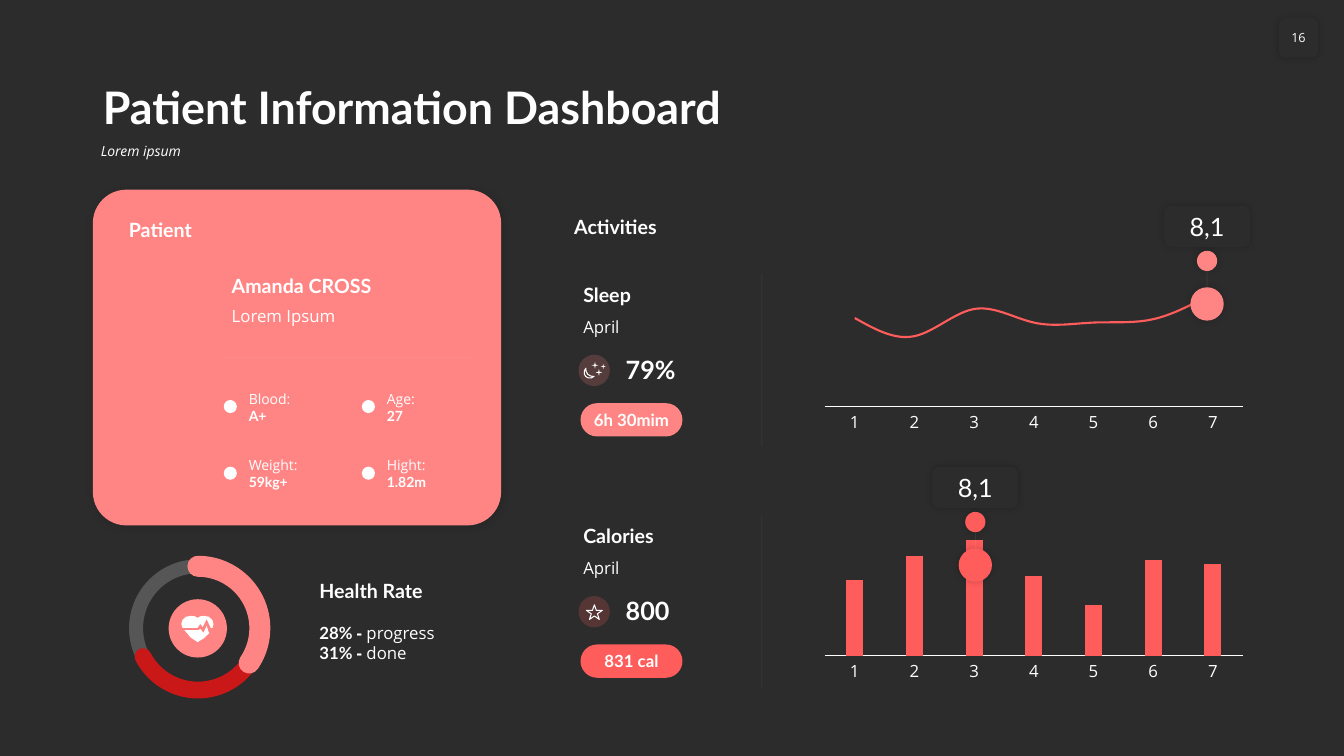
"""Build a dark patient dashboard slide."""
import dataclasses

import pptx
import pptx.chart.data
import pptx.dml.color
import pptx.enum.chart
import pptx.enum.shapes
import pptx.enum.text
import pptx.oxml
import pptx.oxml.ns
import pptx.util

Cm, Pt = pptx.util.Cm, pptx.util.Pt
KIND = pptx.enum.shapes.MSO_SHAPE
ALIGN = pptx.enum.text.PP_ALIGN
ANCHOR = pptx.enum.text.MSO_ANCHOR
CHART = pptx.enum.chart.XL_CHART_TYPE


@dataclasses.dataclass(frozen=True)
class Theme:
    dark: str = "2C2C2C"
    white: str = "FFFFFF"
    black: str = "000000"
    rose: str = "FF8585"
    coral: str = "FF5C5C"
    red: str = "CA1818"
    head: str = "Lato"
    body: str = "Open Sans"
    title: int = 32
    large: int = 18
    label: int = 14
    text: int = 12
    small: int = 10
    page: int = 9


T = Theme()


def rgb(code):
    return pptx.dml.color.RGBColor.from_string(code)


def apply(item, values):
    for name, value in values.items():
        setattr(item, name, value)


def font(size, name=T.body, bold=False, italic=False):
    return dict(size=Pt(size), name=name, bold=bold, italic=italic)


def bold(size):
    return font(size, T.head, True)


def node(tag, **attrs):
    item = pptx.oxml.parse_xml(f"<a:{tag} {pptx.oxml.ns.nsdecls('a')}/>")
    for name, value in attrs.items():
        item.set(name, str(value))
    return item


def fade(fill, share):
    color = fill._xPr.find(".//" + pptx.oxml.ns.qn("a:srgbClr"))
    color.append(node("alpha", val=share * 1000))


def shade(shape, blur=5, dist=0, share=20):
    cast = node("outerShdw", blurRad=Pt(blur), dist=Pt(dist), dir=2700000, algn="tl", rotWithShape=0)
    color = node("srgbClr", val=T.black)
    color.append(node("alpha", val=share * 1000))
    cast.append(color)
    shape._element.spPr.find(pptx.oxml.ns.qn("a:effectLst")).append(cast)


def paint(shape, fill=None, line=None, width=1, share=None):
    shape.shadow.inherit = False
    for style, color in ((shape.fill, fill), (shape.line.fill, line)):
        if color is None:
            style.background()
            continue
        style.solid()
        style.fore_color.rgb = rgb(color)
        if share:
            fade(style, share)
    if line:
        shape.line.width = Pt(width)
    return shape


def form(slide, kind, box, fill=None, adj=(), **style):
    shape = slide.shapes.add_shape(kind, *map(Cm, box))
    for index, value in enumerate(adj):
        shape.adjustments[index] = value
    return paint(shape, fill, **style)


def arc(slide, box, color, width, ends):
    shape = form(slide, KIND.ARC, box, adj=ends, line=color, width=width)
    shape.line._ln.set("cap", "rnd")


def rule(slide, *ends):
    line = slide.shapes.add_connector(pptx.enum.shapes.MSO_CONNECTOR.STRAIGHT, *map(Cm, ends))
    line.line.color.rgb = rgb(T.white)
    line.line.width = Pt(0.5)
    fade(line.line.fill, 10)
    line._element.spPr.append(node("effectLst"))


def write(shape, rows, anchor=ANCHOR.TOP, align=ALIGN.LEFT, inset=None, **para):
    frame = shape.text_frame
    apply(frame, dict(word_wrap=True, vertical_anchor=anchor, auto_size=pptx.enum.text.MSO_AUTO_SIZE.NONE))
    if inset is not None:
        apply(frame, dict(margin_left=Cm(inset), margin_right=Cm(inset)))
    for index, row in enumerate(rows):
        line = frame.add_paragraph() if index else frame.paragraphs[0]
        apply(line, dict(alignment=align, **para))
        for words, style in row:
            run = line.add_run()
            run.text = words
            apply(run.font, style)
            run.font.color.rgb = rgb(T.white)


def text(slide, box, rows, anchor=ANCHOR.TOP, **para):
    write(slide.shapes.add_textbox(*map(Cm, box)), rows, anchor, **para)


def label(slide, box, words, size=T.label):
    text(slide, box, [[(words, bold(size))]], ANCHOR.BOTTOM)


def badge(slide, kind, box, words, style, fill, adj=(), inset=0):
    shape = form(slide, kind, box, fill, adj)
    write(shape, [[(words, style)]], ANCHOR.MIDDLE, ALIGN.CENTER, inset)
    return shape


def fact(slide, left, top, name, value):
    form(slide, KIND.OVAL, (left, top, 0.33, 0.33), T.white)
    rows = [[(name, font(T.small))], [(value, bold(T.small))]]
    text(slide, (left + 0.38, top - 0.38, 2.41, 1.12), rows, ANCHOR.MIDDLE)


def panel(slide, top, name, value, pill, color):
    label(slide, (14.45, top, 4.22, 0.86), name)
    text(slide, (14.45, top + 0.86, 4.22, 0.76), [[("April", font(T.text))]])
    form(slide, KIND.OVAL, (14.58, top + 1.95, 0.79, 0.79), color, share=20)
    label(slide, (15.52, top + 1.8, 3.15, 1.02), value, T.large)
    badge(slide, KIND.ROUNDED_RECTANGLE, (14.63, top + 3.17, 2.57, 0.84), pill, bold(T.text), color, [0.5])
    rule(slide, 19.2, top + 4.24, 19.2, top - 0.08)


def plot(slide, kind, top, values, low, high):
    data = pptx.chart.data.CategoryChartData()
    data.categories = [str(day) for day in range(1, 8)]
    data.add_series("Series 1", values)
    chart = slide.shapes.add_chart(kind, Cm(20.57), Cm(top), Cm(10.97), Cm(4.01), data).chart
    apply(chart, dict(has_legend=False, has_title=False))
    apply(chart.font, font(T.text))
    chart.font.color.rgb = rgb(T.white)
    none = pptx.enum.chart.XL_TICK_MARK.NONE
    apply(chart.value_axis, dict(visible=False, has_major_gridlines=False, minimum_scale=low, maximum_scale=high))
    apply(chart.category_axis, dict(major_tick_mark=none, minor_tick_mark=none, has_major_gridlines=False))
    edge = chart.category_axis.format.line
    edge.color.rgb = rgb(T.white)
    edge.width = Pt(0.75)
    group = chart.plots[0]
    group.vary_by_categories = False
    series = group.series[0]
    if kind == CHART.LINE:
        series.smooth = True
        series.marker.style = pptx.enum.chart.XL_MARKER_STYLE.NONE
        series.format.line.color.rgb = rgb(T.coral)
        series.format.line.width = Pt(1.5)
    else:
        group.gap_width = 250
        series.format.fill.solid()
        series.format.fill.fore_color.rgb = rgb(T.coral)
    place = dict(layoutTarget="inner", xMode="edge", yMode="edge", x=0.02, y=0.05, w=0.96, h=0.76)
    inner = "".join(f'<c:{key} val="{value}"/>' for key, value in place.items())
    area = chart._chartSpace.chart.plotArea
    for old in area.findall(pptx.oxml.ns.qn("c:layout")):
        area.remove(old)
    decl = pptx.oxml.ns.nsdecls("c")
    area.insert(0, pptx.oxml.parse_xml(f"<c:layout {decl}><c:manualLayout>{inner}</c:manualLayout></c:layout>"))


def callout(slide, mid, top, color):
    rule(slide, mid, top + 1.65, mid, top + 2.06)
    for size, drop in ((0.84, 2.06), (0.51, 1.14)):
        shade(form(slide, KIND.OVAL, (mid - size / 2, top + drop, size, size), color))
    box = (mid - 1.08, top, 2.16, 1.04)
    shade(badge(slide, KIND.ROUNDED_RECTANGLE, box, "8,1", font(T.large, T.head), T.dark, inset=0.2))


def heart(slide):
    upper = [(483, 1552), (491, 1553), (498, 1557), (505, 1553), (513, 1552), (526, 1554), (535, 1562),
             (538, 1572), (536, 1582), (531, 1582), (521, 1560), (511, 1580), (505, 1572), (498, 1582),
             (460, 1582), (457, 1572), (460, 1562), (469, 1554)]
    lower = [(521, 1577), (526, 1593), (528, 1595), (513, 1609), (498, 1618), (480, 1606), (465, 1588),
             (500, 1588), (505, 1585), (513, 1595), (516, 1588)]
    pen = slide.shapes.build_freeform(*upper[0], scale=Cm(0.01))
    pen.add_line_segments(upper[1:])
    pen.move_to(*lower[0])
    pen.add_line_segments(lower[1:])
    paint(pen.convert_to_shape(), T.white)


def icons(slide):
    moon = form(slide, KIND.MOON, (14.74, 9.29, 0.15, 0.29), line=T.white, width=0.75)
    moon.rotation = -45
    for left, top, size in ((15.14, 9.17, 0.13), (14.91, 9.12, 0.17), (15.01, 9.3, 0.17)):
        form(slide, KIND.STAR_4_POINT, (left, top, size, size), T.white)
    form(slide, KIND.STAR_5_POINT, (14.78, 15.24, 0.4, 0.37), line=T.white, width=0.75)


def health(slide):
    ring = (3.43, 14.27, 3.12, 3.12)
    form(slide, KIND.OVAL, ring, line=T.white, width=10, share=20)
    form(slide, KIND.OVAL, (4.25, 15.1, 1.47, 1.47), T.rose)
    arc(slide, ring, T.red, 12, (20.17, 91.58))
    arc(slide, ring, T.rose, 15, (162, 20.54))
    heart(slide)
    label(slide, (7.8, 14.45, 4.37, 0.86), "Health Rate")
    rows = [[(rate, bold(T.text)), ("- ", font(T.text, bold=True)), (word, font(T.text))]
            for rate, word in (("28% ", "progress"), ("31% ", "done"))]
    text(slide, (7.8, 15.57, 4.37, 1.27), rows)


def patient(slide):
    card = form(slide, KIND.ROUNDED_RECTANGLE, (2.34, 4.78, 10.29, 8.46), T.rose, [0.1])
    shade(card, 6, 1, 15)
    label(slide, (3, 5.36, 9.17, 0.86), "Patient")
    label(slide, (5.59, 6.76, 6.58, 0.86), "Amanda CROSS")
    text(slide, (5.59, 7.57, 6.58, 0.76), [[("Lorem Ipsum", font(T.text))]])
    rule(slide, 5.59, 9.02, 11.91, 9.02)
    facts = (("Blood:", "A+"), ("Age:", "27"), ("Weight:", "59kg+"), ("Hight:", "1.82m"))
    for index, pair in enumerate(facts):
        row, col = divmod(index, 2)
        fact(slide, 5.64 + col * 3.48, 10.08 + row * 1.68, *pair)


def header(slide):
    title = slide.shapes.title
    apply(title, dict(left=Cm(2.34), top=Cm(1.47), width=Cm(29.21), height=Cm(2.03)))
    write(title, [[("Patient Information Dashboard", bold(T.title))]], ANCHOR.BOTTOM, line_spacing=0.9)
    text(slide, (2.29, 3.51, 29.26, 0.91), [[("Lorem ipsum", font(T.small, italic=True))]], line_spacing=0.9)
    shade(badge(slide, KIND.ROUNDED_RECTANGLE, (32.23, 0.46, 0.99, 0.99), "16", font(T.page), T.dark))


def main():
    deck = pptx.Presentation()
    apply(deck, dict(slide_width=Cm(33.87), slide_height=Cm(19.05)))
    slide = deck.slides.add_slide(deck.slide_layouts[5])
    slide.background.fill.solid()
    slide.background.fill.fore_color.rgb = rgb(T.dark)
    header(slide)
    patient(slide)
    health(slide)
    label(slide, (14.22, 5.28, 9.68, 0.86), "Activities")
    panel(slide, 6.99, "Sleep", "79%", "6h 30mim", T.rose)
    panel(slide, 13.07, "Calories", "800", "831 cal", T.coral)
    icons(slide)
    plot(slide, CHART.LINE, 6.99, (78, 62, 86, 74, 74, 77, 100), 0, 107)
    plot(slide, CHART.COLUMN_CLUSTERED, 13.28, (90, 96, 100, 91, 84, 95, 94), 71.3, 101.3)
    callout(slide, 30.42, 5.18, T.rose)
    callout(slide, 24.58, 11.76, T.coral)
    deck.save("out.pptx")


if __name__ == "__main__":
    main()
